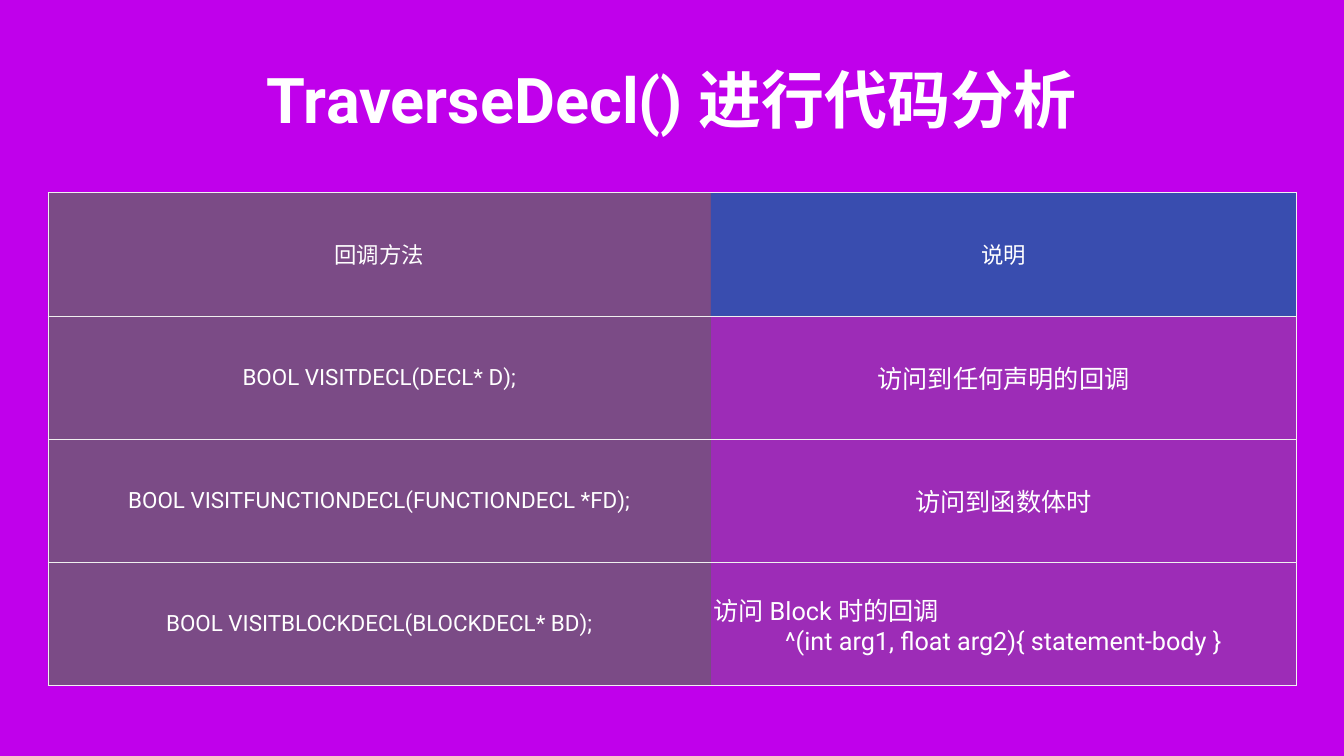
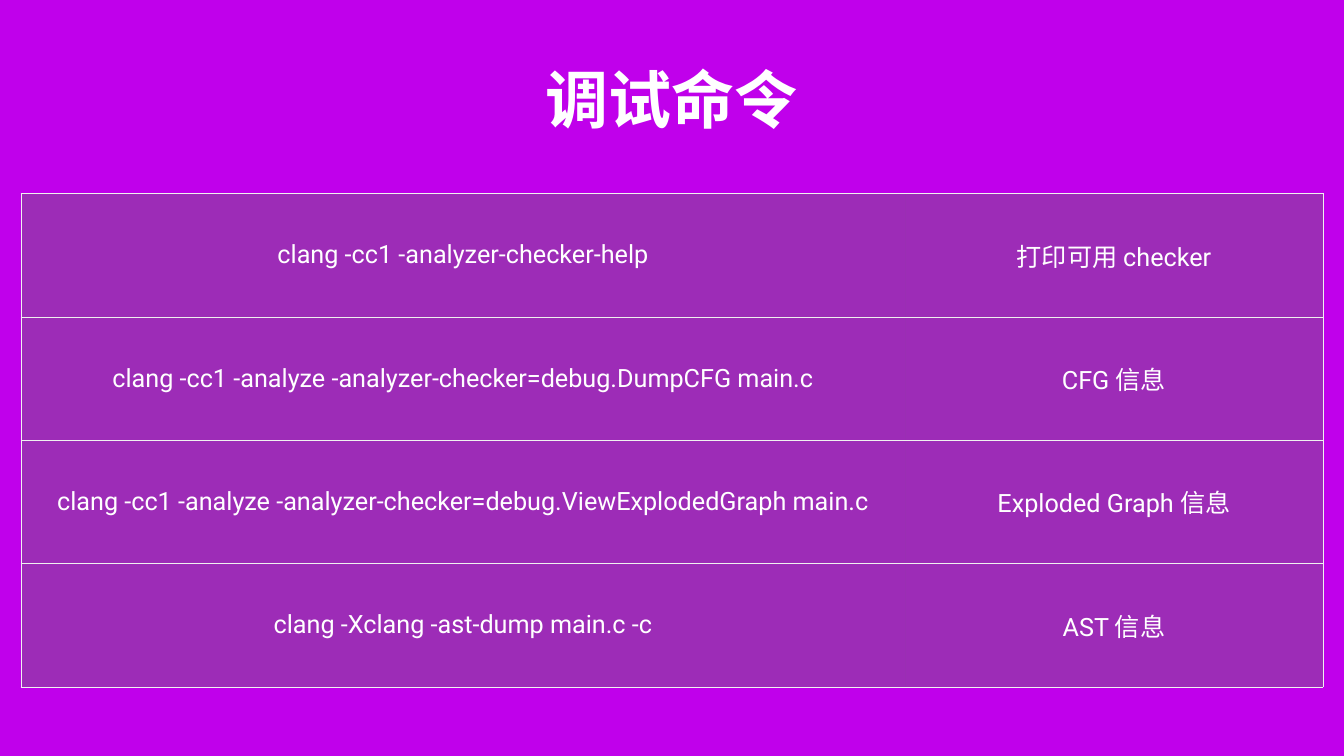
from lxml.etree import SubElement
from pptx import Presentation
from pptx.dml.color import RGBColor
from pptx.enum.text import MSO_ANCHOR as Anchor, PP_ALIGN as Align
from pptx.oxml.ns import qn
from pptx.util import Pt

FONT = "Roboto"
WHITE, PURPLE, RULE = "FFFFFF", "C000EB", "F0F0F0"
# Cell fills: colour and opacity in percent
BODY, METHOD, HEADER = ("6D6D6D", 41), ("656565", 75), ("1861A1", 80)
WIDTH, HEIGHT = 1920, 1080
TITLE_WIDTH, ROW_HEIGHT = 1271.5, 176.2


def color(hex_code):
    return RGBColor.from_string(hex_code)


def style_paragraph(paragraph, size, bold=False, align=Align.CENTER):
    paragraph.alignment = align
    font = paragraph.font
    font.name, font.size, font.bold = FONT, Pt(size), bold
    font.color.rgb = color(WHITE)


# Content: title, table top, column widths, size of the first column, rows
pages = [
    ("TraverseDecl() 进行代码分析", 275, (947, 836), 32, [
        ("回调方法", "说明"),
        ("BOOL VISITDECL(DECL* D);", "访问到任何声明的回调"),
        ("BOOL VISITFUNCTIONDECL(FUNCTIONDECL *FD);", "访问到函数体时"),
        ("BOOL VISITBLOCKDECL(BLOCKDECL* BD);",
         "访问 Block 时的回调\n^(int arg1, float arg2){ statement-body }"),
    ]),
    ("调试命令", 276.5, (1263, 597), 36, [
        ("clang -cc1 -analyzer-checker-help", "打印可用 checker"),
        ("clang -cc1 -analyze -analyzer-checker=debug.DumpCFG main.c", "CFG 信息"),
        ("clang -cc1 -analyze -analyzer-checker=debug.ViewExplodedGraph main.c",
         "Exploded Graph 信息"),
        ("clang -Xclang -ast-dump main.c -c", "AST 信息"),
    ]),
]

prs = Presentation()
prs.slide_width, prs.slide_height = Pt(WIDTH), Pt(HEIGHT)

for heading, top, col_widths, first_size, rows in pages:
    slide = prs.slides.add_slide(prs.slide_layouts[6])
    slide.background.fill.solid()
    slide.background.fill.fore_color.rgb = color(PURPLE)

    # Title
    title = slide.shapes.add_textbox(Pt((WIDTH - TITLE_WIDTH) / 2), Pt(22.3),
                                     Pt(TITLE_WIDTH), Pt(237.6)).text_frame
    title.word_wrap = True
    title.vertical_anchor = Anchor.MIDDLE
    title.margin_left = title.margin_right = Pt(6)
    title.margin_top = title.margin_bottom = Pt(6)
    title.text = heading
    style_paragraph(title.paragraphs[0], 90, bold=True)

    # Table, centred across the slide
    table_width = sum(col_widths)
    table = slide.shapes.add_table(
        len(rows), 2, Pt((WIDTH - table_width) / 2), Pt(top),
        Pt(table_width), Pt(ROW_HEIGHT * len(rows))).table
    table.first_row = table.horz_banding = False
    for column, col_width in zip(table.columns, col_widths):
        column.width = Pt(col_width)

    has_header = rows[0][0] == "回调方法"
    last = len(rows) - 1
    for r, row in enumerate(rows):
        table.rows[r].height = Pt(ROW_HEIGHT)
        for c, text in enumerate(row):
            cell = table.cell(r, c)
            cell.vertical_anchor = Anchor.MIDDLE
            cell.margin_left = cell.margin_right = Pt(4)
            cell.margin_top = cell.margin_bottom = Pt(4)

            # Text: the lead line of a two-line cell sits on the left
            cell.text = text
            size = first_size if c == 0 or (has_header and r == 0) else 36
            paragraphs = cell.text_frame.paragraphs
            for paragraph in paragraphs:
                style_paragraph(paragraph, size)
            if len(paragraphs) > 1:
                paragraphs[0].alignment = Align.LEFT

            # Borders: outer frame and row rules, no line between columns
            props = cell._tc.get_or_add_tcPr()
            borders = {"a:lnL": 1 if c == 0 else 0,
                       "a:lnR": 1 if c == 1 else 0,
                       "a:lnT": 1 if r == 0 else 0.25,
                       "a:lnB": 1 if r == last else 0.25}
            for side, weight in borders.items():
                line = SubElement(props, qn(side), w=str(Pt(weight)))
                if weight:
                    paint = SubElement(line, qn("a:solidFill"))
                    SubElement(paint, qn("a:srgbClr"), val=RULE)
                else:
                    SubElement(line, qn("a:noFill"))

            # Translucent fill
            fill, opacity = BODY
            if has_header and c == 0:
                fill, opacity = METHOD
            elif has_header and r == 0:
                fill, opacity = HEADER
            cell.fill.solid()
            cell.fill.fore_color.rgb = color(fill)
            tint = props.find(qn("a:solidFill")).find(qn("a:srgbClr"))
            SubElement(tint, qn("a:alpha"), val=str(opacity * 1000))

prs.save("out.pptx")
